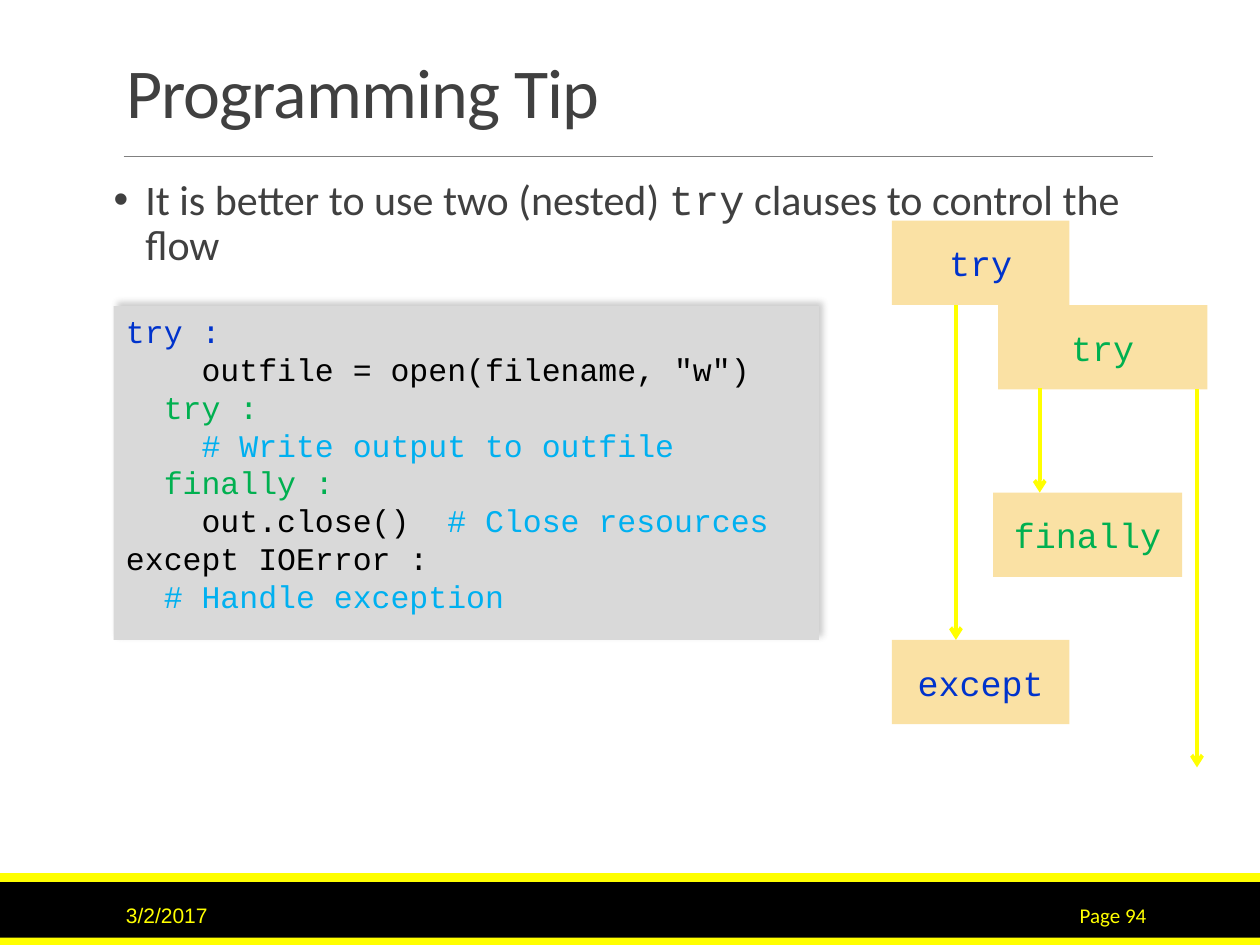
from lxml import etree
from pptx import Presentation
from pptx.dml.color import RGBColor
from pptx.enum.shapes import MSO_CONNECTOR, MSO_SHAPE
from pptx.enum.text import MSO_ANCHOR, PP_ALIGN
from pptx.oxml.ns import qn
from pptx.util import Cm, Pt

RECTANGLE = MSO_SHAPE.RECTANGLE
STRAIGHT = MSO_CONNECTOR.STRAIGHT
TOP, MIDDLE, BOTTOM = MSO_ANCHOR.TOP, MSO_ANCHOR.MIDDLE, MSO_ANCHOR.BOTTOM
LEFT, CENTER, RIGHT = PP_ALIGN.LEFT, PP_ALIGN.CENTER, PP_ALIGN.RIGHT
MONO, SANS = "Courier New", "Calibri"
COLORS = {
    "black": "000000", "yellow": "FFFF00", "gray": "808080", "text": "404040",
    "panel": "D9D9D9", "box": "FAE1A4", "outer": "0033CC", "inner": "00B050",
    "comment": "00B0F0",
}
MARGIN, CONTENT_WIDTH = 2.29, 20.96


def add_block(left, top, width, height, color):
    block = slide.shapes.add_shape(RECTANGLE, Cm(left), Cm(top), Cm(width), Cm(height))
    block.shadow.inherit = False
    block.fill.solid()
    block.fill.fore_color.rgb = RGBColor.from_string(COLORS[color])
    block.line.fill.background()
    return block


def write(frame, lines, size, anchor, paragraph_format):
    frame.word_wrap = True
    frame.vertical_anchor = anchor
    for number, line in enumerate(lines):
        paragraph = frame.add_paragraph() if number else frame.paragraphs[0]
        for attribute, value in paragraph_format.items():
            setattr(paragraph, attribute, value)
        for text, font_name, color in line:
            run = paragraph.add_run()
            run.text = text
            run.font.size = Pt(size)
            run.font.name = font_name
            run.font.color.rgb = RGBColor.from_string(COLORS[color])


deck = Presentation()
deck.slide_width, deck.slide_height = Cm(25.4), Cm(19.05)
slide = deck.slides.add_slide(deck.slide_layouts[5])

for top, height, color in [(17.78, 1.27, "black"), (17.6, 0.18, "yellow"), (18.9, 0.15, "yellow")]:
    add_block(0, top, 25.4, height, color)

title = slide.shapes.title
title_format = {"left": Cm(MARGIN), "top": Cm(0.79), "width": Cm(CONTENT_WIDTH), "height": Cm(2.01)}
for attribute, value in title_format.items():
    setattr(title, attribute, value)
write(title.text_frame, [[("Programming Tip", SANS, "text")]], 40, BOTTOM,
      {"alignment": LEFT, "line_spacing": 0.85})
title.text_frame.paragraphs[0].runs[0].font._element.set("spc", "-50")

advice = slide.shapes.add_textbox(Cm(MARGIN), Cm(3.48), Cm(CONTENT_WIDTH), Cm(12.83)).text_frame
advice.margin_left = advice.margin_right = 0
write(advice, [[("It is better to use two (nested) ", SANS, "text"),
                ("try", MONO, "text"),
                (" clauses to control the flow", SANS, "text")]], 24, TOP,
      {"line_spacing": 0.9, "space_before": Pt(12), "space_after": Pt(2)})
advice_properties = advice.paragraphs[0]._p.get_or_add_pPr()
advice_properties.set("marL", str(Cm(0.64)))
advice_properties.set("indent", str(-Cm(0.64)))
etree.SubElement(advice_properties, qn("a:buFont"), typeface="Arial")
etree.SubElement(advice_properties, qn("a:buChar"), char="•")

for text, font_name, left, width, alignment in [
    ("3/2/2017", "Arial", MARGIN, 5.16, LEFT),
    ("Page 94", SANS, 20.62, 2.74, RIGHT),
]:
    footer = slide.shapes.add_textbox(Cm(left), Cm(17.93), Cm(width), Cm(1.02))
    write(footer.text_frame, [[(text, font_name, "yellow")]], 12, MIDDLE, {"alignment": alignment})

code = add_block(MARGIN, 6.17, 14.22, 6.73, "panel")
code_lines = [
    [("try :", "outer")],
    [('    outfile = open(filename, "w")', "black")],
    [("  try :", "inner")],
    [("    # Write output to outfile", "comment")],
    [("  finally :", "inner")],
    [("    out.close()  ", "black"), ("# Close resources", "comment")],
    [("except IOError :", "black")],
    [("  # Handle exception", "comment")],
]
write(code.text_frame, [[(text, MONO, color) for text, color in line] for line in code_lines],
      18, TOP, {"alignment": LEFT})
for paragraph in code.text_frame.paragraphs:
    paragraph._p.get_or_add_pPr().set("marL", str(Cm(0.95)))
    paragraph._p.get_or_add_pPr().set("indent", str(-Cm(0.95)))
code_effects = code._element.spPr.find(qn("a:effectLst"))
code_shadow = etree.SubElement(code_effects, qn("a:outerShdw"), blurRad=str(Pt(4)), dist=str(Pt(3)),
                               dir="18900000", algn="bl", rotWithShape="0")
shadow_color = etree.SubElement(code_shadow, qn("a:srgbClr"), val=COLORS["gray"])
etree.SubElement(shadow_color, qn("a:alpha"), val="40000")

for keyword, color, left, top, width in [
    ("try", "outer", 17.98, 4.45, 3.58),
    ("try", "inner", 20.12, 6.15, 4.22),
    ("finally", "inner", 20.02, 9.93, 3.81),
    ("except", "outer", 17.98, 12.9, 3.58),
]:
    clause = add_block(left, top, width, 1.7, "box")
    write(clause.text_frame, [[(keyword, MONO, color)]], 20, MIDDLE, {"alignment": CENTER})

for start_x, start_y, end_x, end_y, color, weight, has_arrow in [
    (2.49, 3.15, 23.24, 3.15, "gray", 0.5, False),
    (20.96, 7.82, 20.96, 9.93, "yellow", 2.25, True),
    (19.27, 6.15, 19.27, 12.9, "yellow", 2.25, True),
    (24.13, 7.85, 24.13, 15.47, "yellow", 2.25, True),
]:
    flow = slide.shapes.add_connector(STRAIGHT, Cm(start_x), Cm(start_y), Cm(end_x), Cm(end_y))
    flow.line.color.rgb = RGBColor.from_string(COLORS[color])
    flow.line.width = Pt(weight)
    if has_arrow:
        etree.SubElement(flow.line._get_or_add_ln(), qn("a:tailEnd"), type="arrow")
    etree.SubElement(flow._element.spPr, qn("a:effectLst"))

deck.save("out.pptx")
